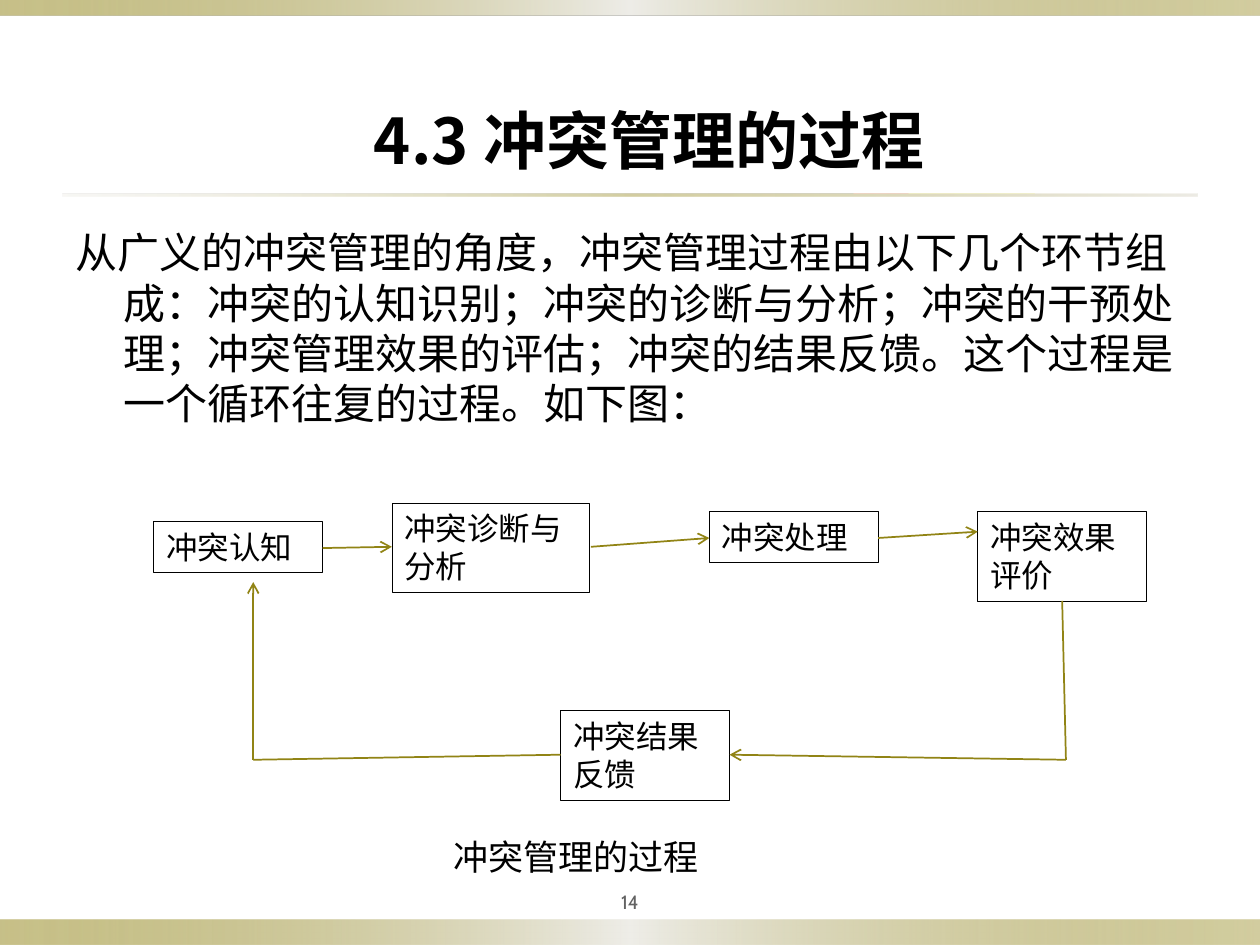
from lxml import etree
from pptx import Presentation
from pptx.dml.color import RGBColor
from pptx.enum.shapes import MSO_CONNECTOR as Connector, MSO_SHAPE as Shape
from pptx.enum.text import MSO_ANCHOR as Anchor, PP_ALIGN as Align
from pptx.oxml import parse_xml
from pptx.oxml.ns import nsdecls, qn
from pptx.util import Inches, Pt

COLORS = {"ink": "000000", "olive": "918415", "pale": "EEEDE8",
          "sand": "DCD9CC", "number": "636363"}
CJK = "Noto Sans CJK SC"


def write(box, text, size, font="Cabin", color="ink", bold=False):
    frame = box.text_frame
    frame.word_wrap = True
    para = frame.paragraphs[0]
    para.alignment = Align.LEFT
    span = para.add_run()
    span.text = text
    for name, value in {"size": Pt(size), "name": font, "bold": bold}.items():
        setattr(span.font, name, value)
    span.font.color.rgb = RGBColor.from_string(COLORS[color])
    etree.SubElement(span.font._element, qn("a:ea"), typeface=font)
    return para


deck = Presentation()
deck.slide_width, deck.slide_height = Inches(10), Inches(7.5)
page = deck.slides.add_slide(deck.slide_layouts[6])
shapes = page.shapes

edge = [("olive", 50), ("pale", 100), ("olive", 40)]
rule = [("sand", 20), ("olive", 40), ("sand", 50)]
for left, top, width, height, stops in [
    (0, 7.3, 10, 0.2, edge),
    (0, 0, 10, 0.12, edge),
    (0.5, 1.54, 9, 0.02, rule),
]:
    band = shapes.add_shape(Shape.RECTANGLE, Inches(left), Inches(top),
                            Inches(width), Inches(height))
    band.shadow.inherit = False
    band.line.fill.background()
    marks = "".join(
        f'<a:gs pos="{place * 50000}"><a:srgbClr val="{COLORS[color]}">'
        f'<a:alpha val="{alpha * 1000}"/></a:srgbClr></a:gs>'
        for place, (color, alpha) in enumerate(stops))
    band._element.spPr.find(qn("a:prstGeom")).addnext(parse_xml(
        f'<a:gradFill {nsdecls("a")}><a:gsLst>{marks}</a:gsLst>'
        '<a:lin ang="0" scaled="0"/></a:gradFill>'))

title = shapes.add_textbox(Inches(2.87), Inches(0.76), Inches(4.77), Inches(0.71))
write(title, "4.3 冲突管理的过程", 36, CJK, bold=True)

body = shapes.add_textbox(Inches(0.5), Inches(1.75), Inches(9), Inches(2))
para = write(body, "从广义的冲突管理的角度，冲突管理过程由以下几个环节组成：冲突的认知识别；"
             "冲突的诊断与分析；冲突的干预处理；冲突管理效果的评估；冲突的结果反馈。"
             "这个过程是一个循环往复的过程。如下图：", 24, CJK)
indent = Inches(0.38)
para._p.get_or_add_pPr().set("marL", str(indent))
para._p.get_or_add_pPr().set("indent", str(-indent))

for text, left, top, width, height in [
    ("冲突认知", 1.22, 4.14, 1.34, 0.4),
    ("冲突诊断与分析", 3.11, 3.99, 1.57, 0.71),
    ("冲突处理", 5.63, 4.06, 1.34, 0.4),
    ("冲突效果评价", 7.76, 4.06, 1.34, 0.71),
    ("冲突结果反馈", 4.45, 5.64, 1.34, 0.71),
]:
    step = shapes.add_shape(Shape.RECTANGLE, Inches(left), Inches(top),
                            Inches(width), Inches(height))
    step.shadow.inherit = False
    step.fill.background()
    step.line.color.rgb = RGBColor.from_string(COLORS["ink"])
    step.line.width = Pt(0.25)
    step.text_frame.vertical_anchor = Anchor.TOP
    write(step, text, 18)

for start, end, arrow in [
    ((2.56, 4.35), (3.11, 4.34), True),
    ((4.69, 4.34), (5.63, 4.27), True),
    ((6.97, 4.27), (7.76, 4.22), True),
    ((8.43, 4.77), (8.46, 6.03), False),
    ((8.46, 6.03), (5.79, 5.99), True),
    ((4.45, 5.99), (2.01, 6.03), False),
    ((2.01, 6.03), (2.01, 4.62), True),
]:
    link = shapes.add_connector(Connector.STRAIGHT, *map(Inches, start + end))
    link.line.color.rgb = RGBColor.from_string(COLORS["olive"])
    link.line.width = Pt(1)
    if arrow:
        etree.SubElement(link.line._get_or_add_ln(), qn("a:tailEnd"), type="arrow")
    etree.SubElement(link._element.spPr, qn("a:effectLst"))

caption = shapes.add_textbox(Inches(3.5), Inches(6.58), Inches(3.62), Inches(0.44))
write(caption, "冲突管理的过程", 20)

number = shapes.add_textbox(Inches(4.5), Inches(7), Inches(1), Inches(0.31))
write(number, "14", 11, color="number").alignment = Align.CENTER
for side in ("left", "right", "top", "bottom"):
    setattr(number.text_frame, f"margin_{side}", Inches(0.05))
number.text_frame.vertical_anchor = Anchor.MIDDLE

deck.save("out.pptx")
